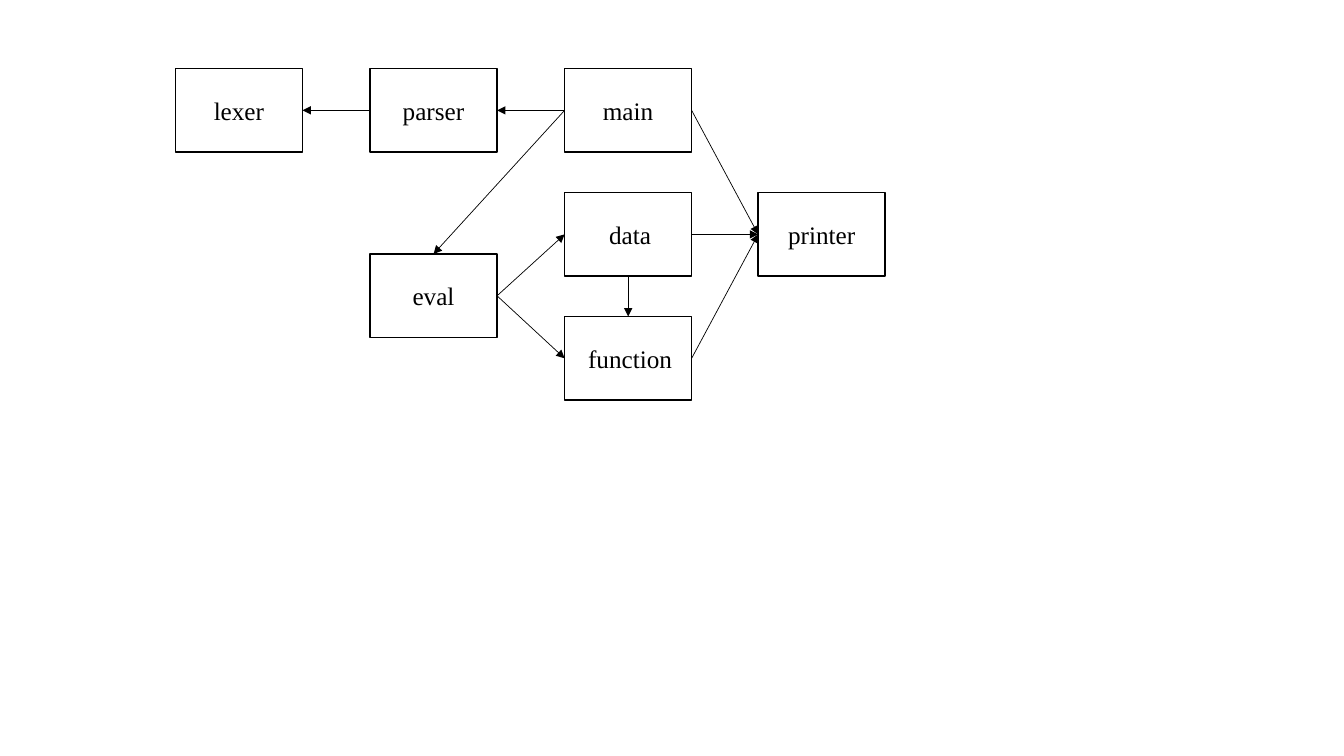
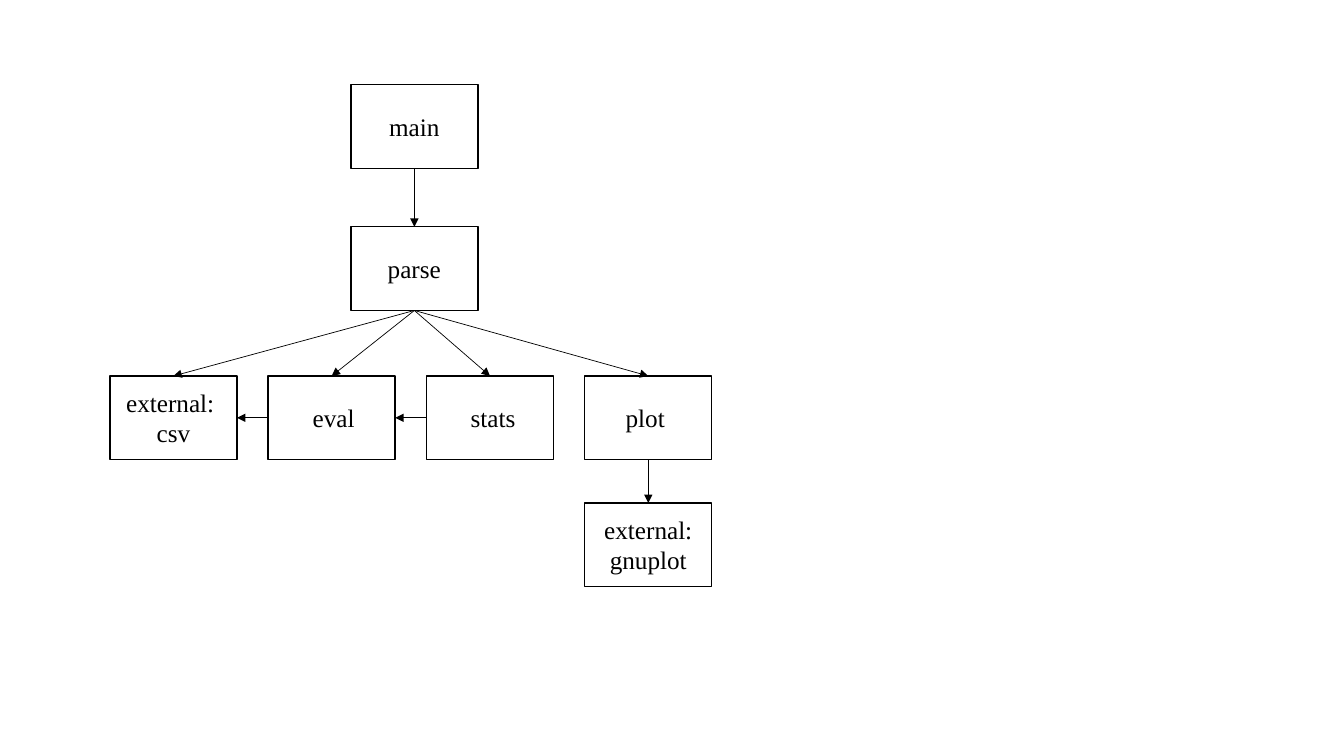
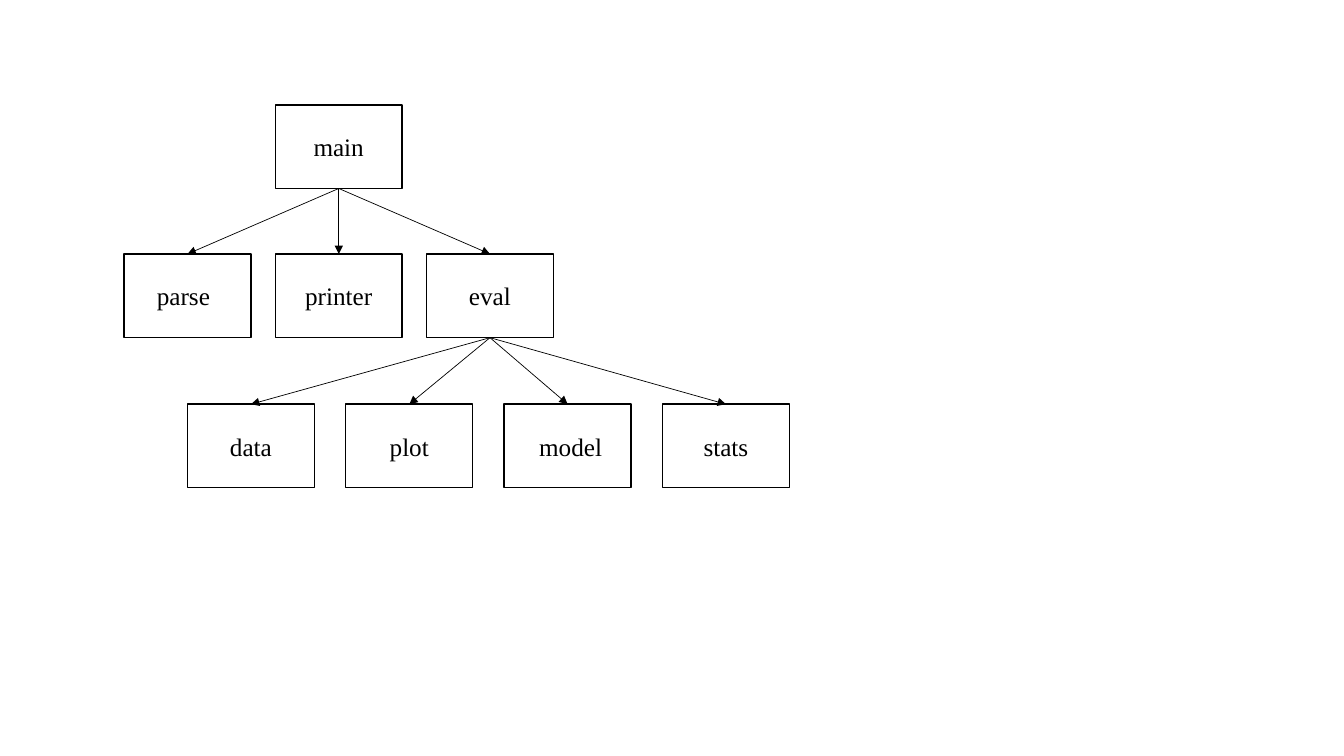
from lxml import etree
from pptx import Presentation
from pptx import util as u
from pptx.dml.color import RGBColor
from pptx.enum import shapes, text
from pptx.oxml.ns import qn

BLACK = RGBColor(0, 0, 0)
FONT = "Times New Roman"
BOX_WIDTH, BOX_HEIGHT = 1.26, 0.83
MARGIN = 0.05
TOP, LEFT, BOTTOM, RIGHT = range(4)

# rows: top, left, pitch, labels; arrows: source, side, side, targets
DIAGRAMS = [
    {
        "rows": [
            (0.68, 1.74, 1.93, ["lexer", "parser", "main"]),
            (1.91, 5.6, 1.92, ["data", "printer"]),
            (2.52, 3.67, 0, ["eval"]),
            (3.14, 5.6, 0, ["function"]),
        ],
        "arrows": [
            ("eval", RIGHT, LEFT, ["data", "function"]),
            ("data", BOTTOM, TOP, ["function"]),
            ("main", RIGHT, LEFT, ["printer"]),
            ("data", RIGHT, LEFT, ["printer"]),
            ("function", RIGHT, LEFT, ["printer"]),
            ("main", LEFT, RIGHT, ["parser"]),
            ("parser", LEFT, RIGHT, ["lexer"]),
            ("main", LEFT, TOP, ["eval"]),
        ],
        "nudges": {"data": 0.02, "function": 0.02},
    },
    {
        "rows": [
            (0.84, 3.48, 0, ["main"]),
            (2.25, 3.48, 0, ["parse"]),
            (3.73, 1.09, 1.57, ["external: \ncsv", "eval", "stats", "plot"]),
            (4.99, 5.8, 0, ["external:\ngnuplot"]),
        ],
        "arrows": [
            ("main", BOTTOM, TOP, ["parse"]),
            ("parse", BOTTOM, TOP, ["external: \ncsv", "eval", "stats", "plot"]),
            ("plot", BOTTOM, TOP, ["external:\ngnuplot"]),
            ("stats", LEFT, RIGHT, ["eval"]),
            ("eval", LEFT, RIGHT, ["external: \ncsv"]),
        ],
        "nudges": {"eval": 0.02, "stats": 0.03, "plot": -0.03},
    },
    {
        "rows": [
            (1.04, 2.73, 0, ["main"]),
            (2.52, 1.23, 1.5, ["parse", "printer", "eval"]),
            (4.01, 1.86, 1.57, ["data", "plot", "model", "stats"]),
        ],
        "arrows": [
            ("main", BOTTOM, TOP, ["parse", "printer", "eval"]),
            ("eval", BOTTOM, TOP, ["data", "plot", "model", "stats"]),
        ],
        "nudges": {"parse": -0.04, "model": 0.03},
    },
]


def add_box(page, left, top, label, nudge):
    box = page.shapes.add_shape(
        shapes.MSO_SHAPE.RECTANGLE,
        u.Inches(left), u.Inches(top), u.Inches(BOX_WIDTH), u.Inches(BOX_HEIGHT))
    box.shadow.inherit = False
    box.fill.background()
    box.line.color.rgb = BLACK
    box.line.width = u.Pt(1)
    frame = box.text_frame
    frame.word_wrap = True
    frame.vertical_anchor = text.MSO_ANCHOR.MIDDLE
    frame.margin_left = u.Inches(MARGIN + nudge)
    frame.margin_right = u.Inches(MARGIN - nudge)
    for index, line in enumerate(label.split("\n")):
        para = frame.add_paragraph() if index else frame.paragraphs[0]
        para.alignment = text.PP_ALIGN.CENTER
        span = para.add_run()
        span.text = line
        span.font.name = FONT
        span.font.size = u.Pt(18)
        span.font.color.rgb = BLACK
    return box


def add_arrow(page, source, source_side, target, target_side):
    arrow = page.shapes.add_connector(shapes.MSO_CONNECTOR.STRAIGHT, 0, 0, 0, 0)
    arrow.begin_connect(source, source_side)
    arrow.end_connect(target, target_side)
    arrow.line.color.rgb = BLACK
    arrow.line.width = u.Pt(0.5)
    properties = arrow.element.spPr
    etree.SubElement(properties.find(qn("a:ln")), qn("a:tailEnd"), type="triangle")
    etree.SubElement(properties, qn("a:effectLst"))


deck = Presentation()
deck.slide_width, deck.slide_height = u.Inches(13.33), u.Inches(7.5)
for diagram in DIAGRAMS:
    page = deck.slides.add_slide(deck.slide_layouts[6])
    boxes = {}
    for top, left, pitch, labels in diagram["rows"]:
        for column, label in enumerate(labels):
            nudge = diagram["nudges"].get(label, 0)
            boxes[label] = add_box(page, left + column * pitch, top, label, nudge)
    for source, source_side, target_side, targets in diagram["arrows"]:
        for target in targets:
            add_arrow(page, boxes[source], source_side, boxes[target], target_side)
deck.save("out.pptx")
